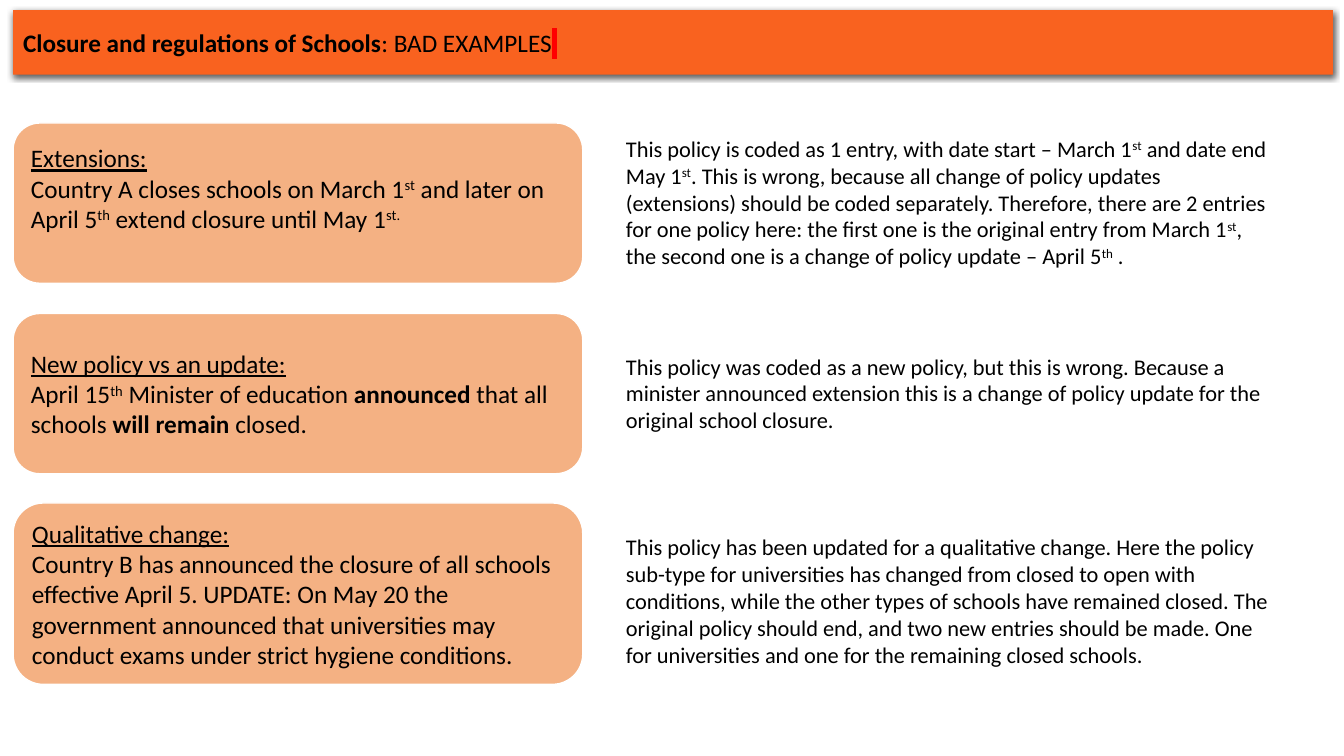
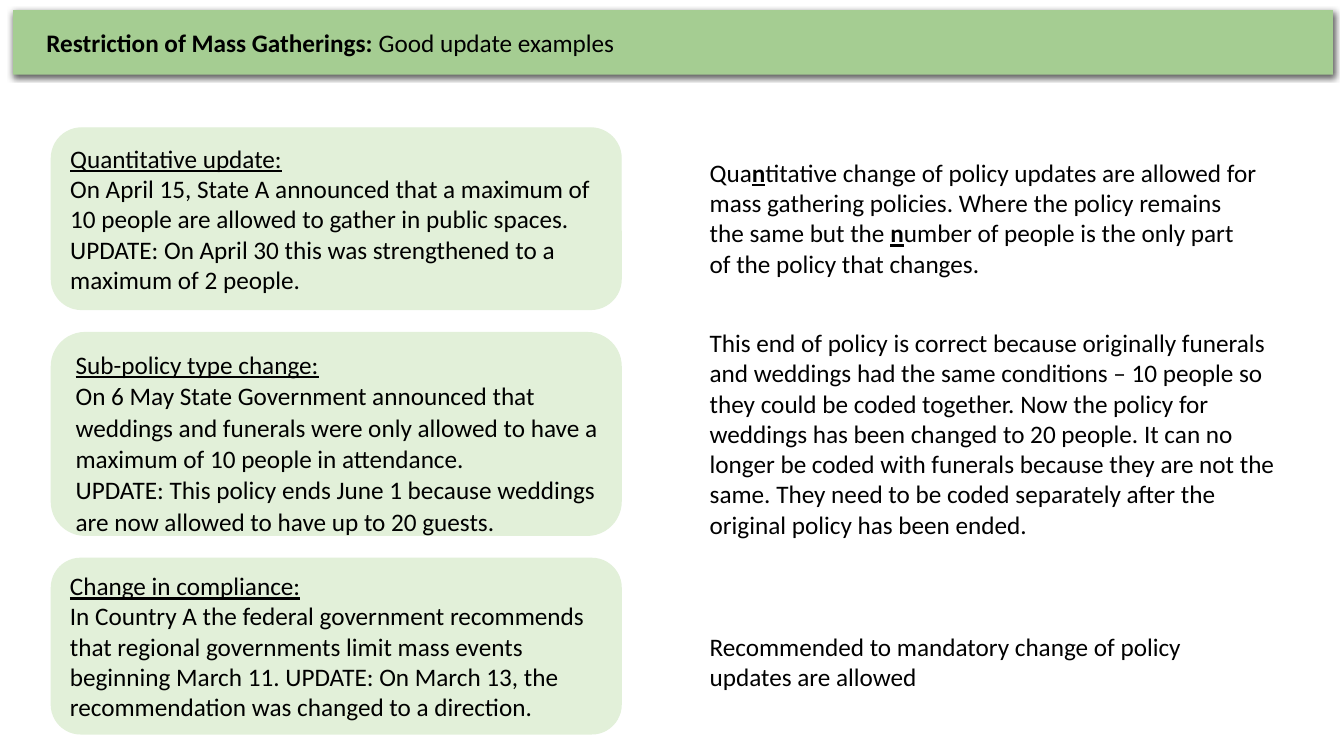
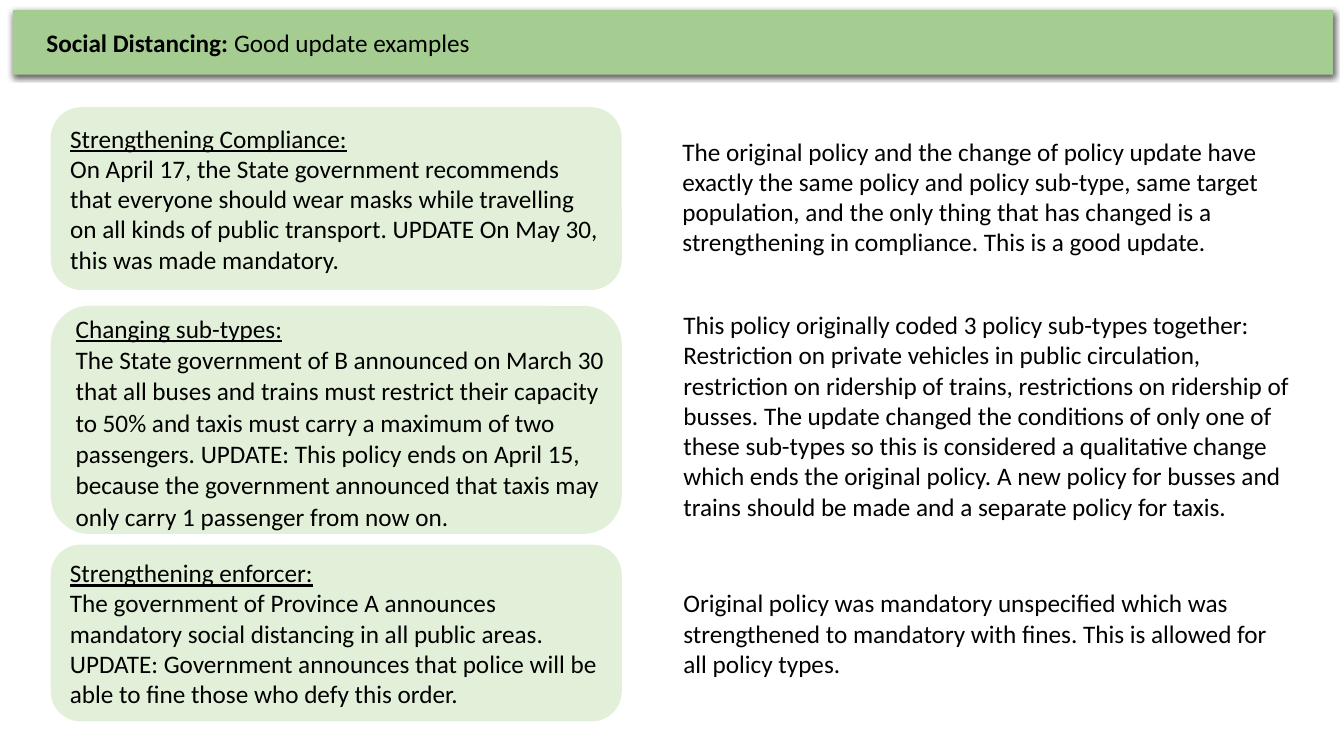
from pptx import Presentation
from pptx.dml.color import RGBColor
from pptx.enum.shapes import MSO_SHAPE as SHAPE
from pptx.enum.text import MSO_ANCHOR as ANCHOR, MSO_AUTO_SIZE as AUTO_SIZE, PP_ALIGN as ALIGN
from pptx.oxml import parse_xml
from pptx.oxml.ns import nsdecls, qn
from pptx.util import Inches, Pt

COLORS = {
    "text": "000000", "white": "FFFFFF", "marker": "FF0000",
    "orange": "F9621F", "peach": "F4B183",
    "green": "A5CD92", "mint": "E2F0D9",
}
FONT = "Calibri"
NO_GRID_STYLE = "{2D5ABB26-0587-4C30-8999-92F81FD0307C}"

# Run styles: b bold, u underlined, s superscript, h highlighted.
# A card is (top, height), a note (left, top, width, height),
# a table (top, width, height); text is a string or a list of (text, style).
SLIDES = [
    {
        "band": "orange", "card": "peach", "card_line": "white",
        "title": [("Closure and regulations of Schools", "b"), (": BAD EXAMPLES", ""), (" ", "h")],
        "title_inset": 0.1, "card_left": 0.13, "note_size": 16,
        "rows": [
            {
                "card": (1.22, 1.59), "bottom_inset": 0.35, "heading": "Extensions:",
                "body": [[("Country A closes schools on March 1", ""), ("st", "s"),
                          (" and later on April 5", ""), ("th", "s"),
                          (" extend closure until May 1", ""), ("st.", "s")]],
                "note_at": (6.11, 1.29, 6.59, 1.45),
                "note": [("This policy is coded as 1 entry, with date start – March 1", ""), ("st", "s"),
                         (" and date end May 1", ""), ("st", "s"),
                         (". This is wrong, because all change of policy updates (extensions) should be "
                          "coded separately. Therefore, there are 2 entries for one policy here: the first "
                          "one is the original entry from March 1", ""), ("st", "s"),
                         (", the second one is a change of policy update – April 5", ""), ("th", "s"),
                         (" .", "")],
            },
            {
                "card": (3.11, 1.59), "heading": "New policy vs an update:",
                "body": [[("April 15", ""), ("th", "s"), (" Minister of education ", ""),
                          ("announced", "b"), (" that all schools ", ""),
                          ("will remain ", "b"), ("closed.", "")]],
                "note_at": (6.11, 3.45, 6.59, 0.91),
                "note": "This policy was coded as a new policy, but this is wrong. Because a minister "
                        "announced extension this is a change of policy update for the original school "
                        "closure.",
            },
            {
                "card": (4.99, 1.8), "heading": "Qualitative change:",
                "body": ["Country B has announced the closure of all schools effective April 5. UPDATE: "
                         "On May 20 the government announced that universities may conduct exams under "
                         "strict hygiene conditions."],
                "note_at": (6.11, 5.24, 6.59, 1.45),
                "note": "This policy has been updated for a qualitative change. Here the policy sub-type "
                        "for universities has changed from closed to open with conditions, while the other "
                        "types of schools have remained closed. The original policy should end, and two new "
                        "entries should be made. One for universities and one for the remaining closed "
                        "schools.",
            },
        ],
    },
    {
        "band": "green", "card": "mint", "card_line": "mint",
        "title": [("Restriction of Mass Gatherings: ", "b"), ("Good update examples", "")],
        "title_inset": 0.33, "card_left": 0.51, "note_size": 18,
        "rows": [
            {
                "card": (1.27, 1.8), "heading": "Quantitative update:",
                "body": ["On April 15, State A announced that a maximum of 10 people are allowed to gather "
                         "in public spaces. UPDATE: On April 30 this was strengthened to a maximum of 2 "
                         "people."],
                "note_at": (6.94, 1.51, 5.65, 1.31),
                "note": [("Qua", ""), ("n", "bu"),
                         ("titative change of policy updates are allowed for mass gathering policies. Where "
                          "the policy remains the same but the ", ""), ("n", "bu"),
                         ("umber of people is the only part of the policy that changes.", "")],
            },
            {
                "card": (3.3, 2.01), "table": (3.42, 5.38, 1.9), "heading": "Sub-policy type change:",
                "body": ["On 6 May State Government announced that weddings and funerals were only allowed "
                         "to have a maximum of 10 people in attendance.",
                         "UPDATE: This policy ends June 1 because weddings are now allowed to have up to 20 "
                         "guests."],
                "note_at": (6.94, 3.2, 5.88, 2.22),
                "note": "This end of policy is correct because originally funerals and weddings had the "
                        "same conditions – 10 people so they could be coded together. Now the policy for "
                        "weddings has been changed to 20 people. It can no longer be coded with funerals "
                        "because they are not the same. They need to be coded separately after the original "
                        "policy has been ended.",
            },
            {
                "card": (5.54, 1.74), "heading": "Change in compliance:",
                "body": ["In Country A the federal government recommends that regional governments limit "
                         "mass events beginning March 11. UPDATE: On March 13, the recommendation was "
                         "changed to a direction."],
                "note_at": (6.94, 6.21, 5.32, 0.71),
                "note": "Recommended to mandatory change of policy updates are allowed",
            },
        ],
    },
    {
        "band": "green", "card": "mint", "card_line": "mint",
        "title": [("Social Distancing: ", "b"), ("Good update examples", "")],
        "title_inset": 0.33, "card_left": 0.51, "note_size": 18,
        "rows": [
            {
                "card": (1.07, 1.8), "heading": "Strengthening Compliance:",
                "body": ["On April 17, the State government recommends that everyone should wear masks "
                         "while travelling on all kinds of public transport. UPDATE On May 30, this was "
                         "made mandatory."],
                "note_at": (6.67, 1.3, 6.15, 1.31),
                "note": "The original policy and the change of policy update have exactly the same policy "
                        "and policy sub-type, same target population, and the only thing that has changed "
                        "is a strengthening in compliance. This is a good update.",
            },
            {
                "card": (3.04, 2.25), "table": (2.98, 5.52, 2.44), "heading": "Changing sub-types:",
                "body": ["The State government of B announced on March 30 that all buses and trains must "
                         "restrict their capacity to 50% and taxis must carry a maximum of two passengers. "
                         "UPDATE: This policy ends on April 15, because the government announced that taxis "
                         "may only carry 1 passenger from now on."],
                "note_at": (6.68, 3.02, 6.29, 2.22),
                "note": "This policy originally coded 3 policy sub-types together: Restriction on private "
                        "vehicles in public circulation, restriction on ridership of trains, restrictions "
                        "on ridership of busses. The update changed the conditions of only one of these "
                        "sub-types so this is considered a qualitative change which ends the original "
                        "policy. A new policy for busses and trains should be made and a separate policy "
                        "for taxis.",
            },
            {
                "card": (5.41, 1.74), "heading": "Strengthening enforcer:",
                "body": ["The government of Province A announces mandatory social distancing in all public "
                         "areas. UPDATE: Government announces that police will be able to fine those who "
                         "defy this order."],
                "note_at": (6.68, 5.78, 6.14, 1.01),
                "note": "Original policy was mandatory unspecified which was strengthened to mandatory with "
                        "fines. This is allowed for all policy types.",
            },
        ],
    },
]


def write(text_frame, paragraphs, size=18, line_spacing=None):
    text_frame.word_wrap = True
    for index, content in enumerate(paragraphs):
        paragraph = text_frame.add_paragraph() if index else text_frame.paragraphs[0]
        paragraph.alignment = ALIGN.LEFT
        if line_spacing:
            paragraph.line_spacing = line_spacing
        for text, style in [(content, "")] if isinstance(content, str) else content:
            run = paragraph.add_run()
            run.text = text
            font = run.font
            font.name, font.size = FONT, Pt(size)
            font.bold, font.underline = "b" in style, "u" in style
            font.color.rgb = RGBColor.from_string(COLORS["text"])
            properties = run._r.get_or_add_rPr()
            if "s" in style:
                properties.set("baseline", "30000")
            if "h" in style:
                properties.find(qn("a:solidFill")).addnext(parse_xml(
                    f'<a:highlight {nsdecls("a")}><a:srgbClr val="{COLORS["marker"]}"/></a:highlight>'))


def add_panel(slide, preset, box, fill, line=None):
    shape = slide.shapes.add_shape(preset, *map(Inches, box))
    shape.shadow.inherit = False
    shape.fill.solid()
    shape.fill.fore_color.rgb = RGBColor.from_string(COLORS[fill])
    if line:
        shape.line.color.rgb = RGBColor.from_string(COLORS[line])
        shape.line.width = Pt(1)
    else:
        shape.line.fill.background()
    shape.text_frame.vertical_anchor = ANCHOR.MIDDLE
    return shape


presentation = Presentation()
presentation.slide_width, presentation.slide_height = Inches(13.33), Inches(7.5)

for content in SLIDES:
    slide = presentation.slides.add_slide(presentation.slide_layouts[6])

    # Title band with a soft shadow
    band = add_panel(slide, SHAPE.RECTANGLE, (0.13, 0.1, 13.09, 0.64), content["band"])
    band._element.spPr.find(qn("a:effectLst")).append(parse_xml(
        f'<a:outerShdw {nsdecls("a")} blurRad="57150" dist="19050" dir="5400000" algn="ctr" '
        'rotWithShape="0"><a:srgbClr val="000000"><a:alpha val="63000"/></a:srgbClr></a:outerShdw>'))
    band.text_frame.margin_left = Inches(content["title_inset"])
    write(band.text_frame, [content["title"]])

    for row in content["rows"]:
        # Example card, its text either inside or in a one-cell table on top
        top, height = row["card"]
        card = add_panel(slide, SHAPE.ROUNDED_RECTANGLE, (content["card_left"], top, 5.65, height),
                         content["card"], content["card_line"])
        example = [[(row["heading"], "u")], *row["body"]]
        if "table" in row:
            top, width, height = row["table"]
            frame = slide.shapes.add_table(1, 1, Inches(0.65), Inches(top), Inches(width), Inches(height))
            table = frame.table
            table.first_row = table.horz_banding = False
            table._tbl.tblPr.find(qn("a:tableStyleId")).text = NO_GRID_STYLE
            cell = table.cell(0, 0)
            cell.fill.background()
            cell.vertical_anchor = ANCHOR.MIDDLE
            write(cell.text_frame, example, line_spacing=1.02)
        else:
            card.text_frame.margin_bottom = Inches(row.get("bottom_inset", 0.05))
            write(card.text_frame, example)

        # Explanation beside the card
        note = slide.shapes.add_textbox(*map(Inches, row["note_at"]))
        write(note.text_frame, [row["note"]], content["note_size"])
        note.text_frame.auto_size = AUTO_SIZE.SHAPE_TO_FIT_TEXT

presentation.save("out.pptx")
